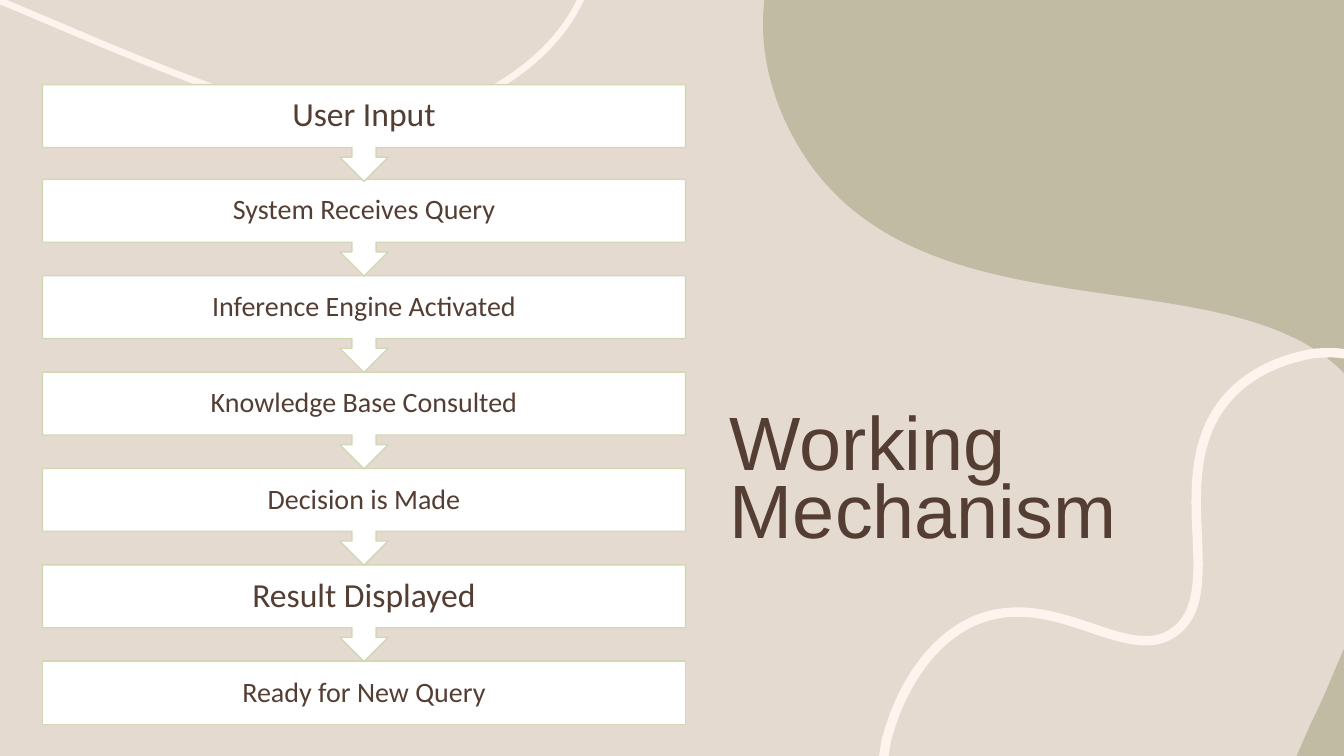
from dataclasses import dataclass

from lxml.etree import SubElement
from pptx import Presentation
from pptx.dml.color import RGBColor
from pptx.enum.shapes import MSO_SHAPE as Preset
from pptx.enum.text import MSO_ANCHOR as Anchor, MSO_AUTO_SIZE as AutoSize, PP_ALIGN as Align
from pptx.oxml.ns import qn
from pptx.util import Inches, Pt


@dataclass(frozen=True)
class Theme:
    sand: RGBColor = RGBColor.from_string("E5DACF")
    olive: RGBColor = RGBColor.from_string("A09D79")
    cream: RGBColor = RGBColor.from_string("FEF3ED")
    brown: RGBColor = RGBColor.from_string("543E34")
    white: RGBColor = RGBColor.from_string("FFFFFF")
    border: RGBColor = RGBColor.from_string("D0D8B6")
    title_font: str = "Arial"
    step_font: str = "Calibri"
    title_size: int = 54
    key_step_size: int = 24
    step_size: int = 20


theme = Theme()


def write(shape, text, *, font, size, anchor, align, spacing, inset=(0.1, 0.05)):
    frame = shape.text_frame
    frame.word_wrap = True
    frame.auto_size = AutoSize.NONE
    frame.vertical_anchor = anchor
    frame.margin_left = frame.margin_right = Inches(inset[0])
    frame.margin_top = frame.margin_bottom = Inches(inset[1])
    paragraph = frame.paragraphs[0]
    paragraph.text = text
    paragraph.alignment = align
    paragraph.line_spacing = spacing
    paragraph.font.name = font
    paragraph.font.size = Pt(size)
    paragraph.font.color.rgb = theme.brown


def draw_outline(contours, closed):
    """Each contour is a start point, then lines (x, y) and cubic curves of three points."""
    builder = None
    segments = []
    for start, *parts in contours:
        x, y = map(Inches, start)
        if builder is None:
            builder = slide.shapes.build_freeform(x, y)
        else:
            builder.move_to(x, y)
        builder.add_line_segments([(Inches(p[-2]), Inches(p[-1])) for p in parts], close=closed)
        segments += parts
    outline = builder.convert_to_shape()
    outline.shadow.inherit = False
    # Bend the straight segments that have control points
    for line, part in zip(list(outline.element.iter(qn("a:lnTo"))), segments):
        if len(part) == 6:
            curve = line.makeelement(qn("a:cubicBezTo"))
            for x, y in zip(part[::2], part[1::2]):
                SubElement(curve, qn("a:pt"), x=str(Inches(x) - outline.left),
                           y=str(Inches(y) - outline.top))
            line.getparent().replace(line, curve)
    return outline


deck = Presentation()
deck.slide_width, deck.slide_height = Inches(13.33), Inches(7.5)
slide = deck.slides.add_slide(deck.slide_layouts[5])
slide.background.fill.solid()
slide.background.fill.fore_color.rgb = theme.sand

# Half-transparent olive blobs in the right corners
blobs = draw_outline([
    [(13.35, 6.39), (13.35, 7.5), (12.86, 7.5), (13, 7.18),
     (13.07, 7.04, 13.14, 6.89, 13.2, 6.74)],
    [(7.58, 0), (13.35, 0), (13.35, 3.73), (13.31, 3.68),
     (12.12, 2.51, 9.1, 3.41, 7.93, 1.47), (7.84, 1.32, 7.5, 0.74, 7.58, 0.02)],
], closed=True)
blobs.fill.solid()
blobs.fill.fore_color.rgb = theme.olive
blobs.line.fill.background()
olive_color = blobs.element.spPr.find(".//" + qn("a:srgbClr"))
SubElement(olive_color, qn("a:alpha"), val="50000")

# Cream waves: top left and bottom right
top_wave = [(0, 0.01), (0.15, 0.07), (1, 0.43), (2.58, 1.09, 3.26, 1.25, 3.68, 1.25),
            (3.81, 1.25, 3.92, 1.23, 4.02, 1.21), (4.65, 1.08, 5.46, 0.67, 5.77, -0.03)]
bottom_wave = [(8.76, 7.53), (8.79, 7.35), (8.91, 6.89, 9.18, 6.39, 9.64, 6.17),
               (10.45, 5.8, 11.19, 6.63, 11.66, 6.26), (12.19, 5.85, 11.51, 4.66, 12.2, 3.92),
               (12.5, 3.6, 12.91, 3.53, 13.01, 3.51), (13.08, 3.5, 13.15, 3.5, 13.23, 3.5),
               (13.26, 3.5, 13.31, 3.51, 13.35, 3.51)]
for wave_points, width in ((top_wave, 4.75), (bottom_wave, 6.75)):
    wave = draw_outline([wave_points], closed=False)
    wave.fill.background()
    wave.line.color.rgb = theme.cream
    wave.line.width = Pt(width)

# Title
title = slide.shapes.title
title.left, title.top, title.width, title.height = map(Inches, (7.14, 1.66, 5.96, 3.87))
write(title, "Working Mechanism", font=theme.title_font, size=theme.title_size,
      anchor=Anchor.BOTTOM, align=Align.LEFT, spacing=0.75)

# Process steps, stacked from the bottom so each arrow lies over the next box
process = ["User Input", "System Receives Query", "Inference Engine Activated",
           "Knowledge Base Consulted", "Decision is Made", "Result Displayed",
           "Ready for New Query"]
key_steps = {"User Input", "Result Displayed"}
first_top, last_top, box_height, callout_height = 0.84, 6.56, 0.63, 0.96
pitch = (last_top - 1.78) / 5
for steps_up, label in enumerate(reversed(process)):
    top = max(first_top, last_top - pitch * steps_up)
    preset, height = ((Preset.DOWN_ARROW_CALLOUT, callout_height) if steps_up
                      else (Preset.RECTANGLE, box_height))
    box = slide.shapes.add_shape(preset, Inches(0.42), Inches(top), Inches(6.38), Inches(height))
    box.shadow.inherit = False
    box.fill.solid()
    box.fill.fore_color.rgb = theme.white
    box.line.color.rgb = theme.border
    box.line.width = Pt(1)
    write(box, label, font=theme.step_font,
          size=theme.key_step_size if label in key_steps else theme.step_size,
          anchor=Anchor.MIDDLE, align=Align.CENTER, spacing=0.9, inset=(0.16, 0.1))

deck.save("out.pptx")
